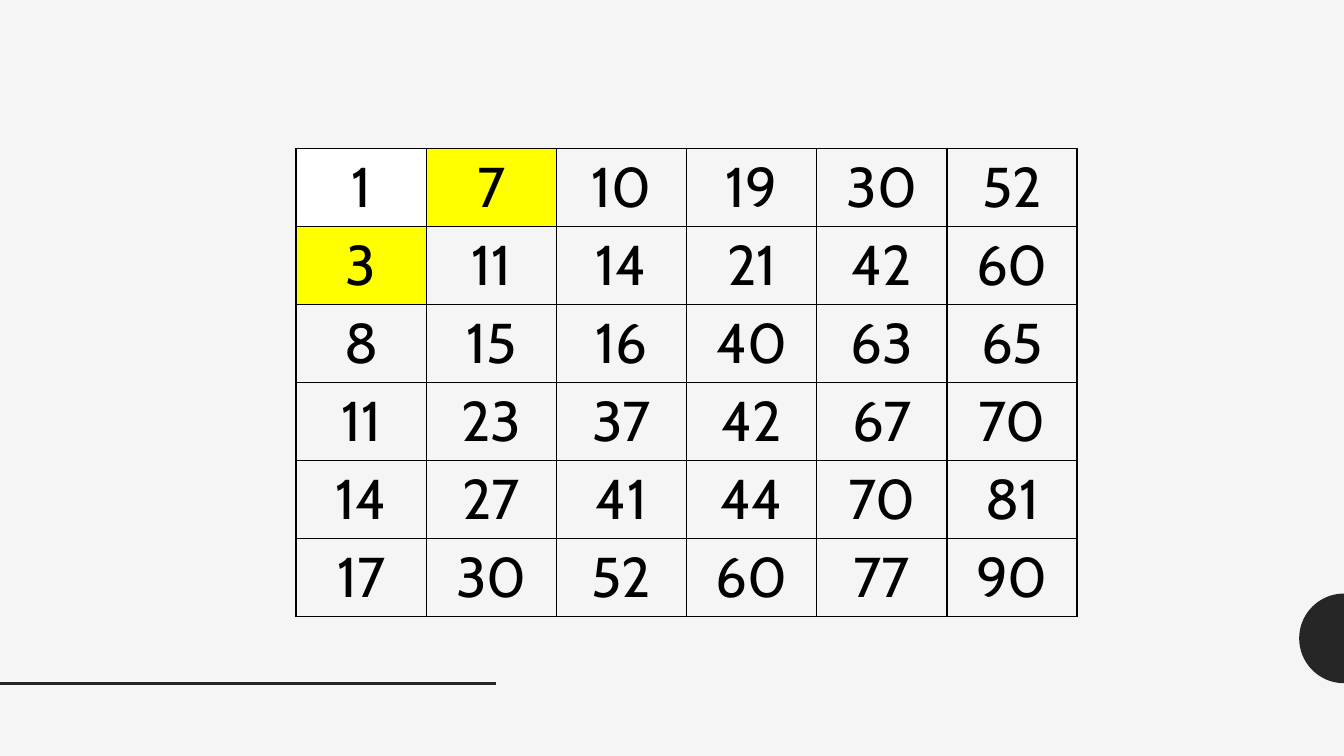
import math
from dataclasses import dataclass

from lxml import etree
from pptx import Presentation
from pptx.dml.color import RGBColor
from pptx.enum.shapes import MSO_CONNECTOR
from pptx.enum.text import MSO_ANCHOR, PP_ALIGN
from pptx.oxml.ns import qn
from pptx.slide import Slide
from pptx.table import _Cell
from pptx.util import Pt

INK, DARK, PAPER, WHITE, YELLOW = "000000", "262626", "F5F5F5", "FFFFFF", "FFFF00"


@dataclass(frozen=True)
class NumberGrid:
    left: float
    top: float
    column_width: float
    row_height: float
    rows: list[list[int]]
    fills: dict[tuple[int, int], str]


@dataclass(frozen=True)
class HalfDisc:
    center_x: float
    center_y: float
    radius: float


def rgb(color: str) -> RGBColor:
    return RGBColor.from_string(color)


def set_borders(cell: _Cell, color: str, width: float) -> None:
    properties = cell._tc.get_or_add_tcPr()
    for index, side in enumerate(("a:lnL", "a:lnR", "a:lnT", "a:lnB")):
        line = etree.Element(qn(side), w=str(Pt(width)))
        fill = etree.SubElement(line, qn("a:solidFill"))
        etree.SubElement(fill, qn("a:srgbClr"), val=color)
        properties.insert(index, line)


def draw_cell(cell: _Cell, number: int, fill: str | None) -> None:
    if fill:
        cell.fill.solid()
        cell.fill.fore_color.rgb = rgb(fill)
    else:
        cell.fill.background()
    set_borders(cell, INK, 1)
    cell.vertical_anchor = MSO_ANCHOR.MIDDLE
    paragraph = cell.text_frame.paragraphs[0]
    paragraph.alignment = PP_ALIGN.CENTER
    run = paragraph.add_run()
    run.text = str(number)
    run.font.name, run.font.size, run.font.bold = "Cabin", Pt(40), False
    run.font.color.rgb = rgb(INK)


def draw_grid(slide: Slide, grid: NumberGrid) -> None:
    row_count, column_count = len(grid.rows), len(grid.rows[0])
    table = slide.shapes.add_table(
        row_count, column_count, Pt(grid.left), Pt(grid.top),
        Pt(grid.column_width * column_count), Pt(grid.row_height * row_count),
    ).table
    table.first_row = table.horz_banding = False
    for column in table.columns:
        column.width = Pt(grid.column_width)
    for r, numbers in enumerate(grid.rows):
        table.rows[r].height = Pt(grid.row_height)
        for c, number in enumerate(numbers):
            draw_cell(table.cell(r, c), number, grid.fills.get((r, c)))


def draw_half_disc(slide: Slide, disc: HalfDisc, color: str, steps: int = 48) -> None:
    angles = [math.pi * (0.5 + i / steps) for i in range(steps + 1)]
    points = [(Pt(disc.center_x + disc.radius * math.cos(a)),
               Pt(disc.center_y + disc.radius * math.sin(a))) for a in angles]
    builder = slide.shapes.build_freeform(*points[0])
    builder.add_line_segments(points[1:], close=True)
    shape = builder.convert_to_shape()
    shape.shadow.inherit = False
    shape.fill.solid()
    shape.fill.fore_color.rgb = rgb(color)
    shape.line.fill.background()


def draw_rule(slide: Slide, y: float, length: float, color: str) -> None:
    rule = slide.shapes.add_connector(
        MSO_CONNECTOR.STRAIGHT, Pt(0), Pt(y), Pt(length), Pt(y))
    rule.line.width = Pt(2)
    rule.line.color.rgb = rgb(color)
    etree.SubElement(rule._element.spPr, qn("a:effectLst"))


# Slide and background
presentation = Presentation()
presentation.slide_width, presentation.slide_height = Pt(960), Pt(540)
slide = presentation.slides.add_slide(presentation.slide_layouts[6])
slide.background.fill.solid()
slide.background.fill.fore_color.rgb = rgb(PAPER)

# Edge decoration
draw_half_disc(slide, HalfDisc(960, 456, 32), DARK)
draw_rule(slide, 488, 354, DARK)

# Sorted matrix with the next two candidates highlighted
draw_grid(slide, NumberGrid(
    left=211.5, top=106.3, column_width=93, row_height=55.7,
    rows=[
        [1, 7, 10, 19, 30, 52],
        [3, 11, 14, 21, 42, 60],
        [8, 15, 16, 40, 63, 65],
        [11, 23, 37, 42, 67, 70],
        [14, 27, 41, 44, 70, 81],
        [17, 30, 52, 60, 77, 90],
    ],
    fills={(0, 0): WHITE, (0, 1): YELLOW, (1, 0): YELLOW},
))

presentation.save("out.pptx")
